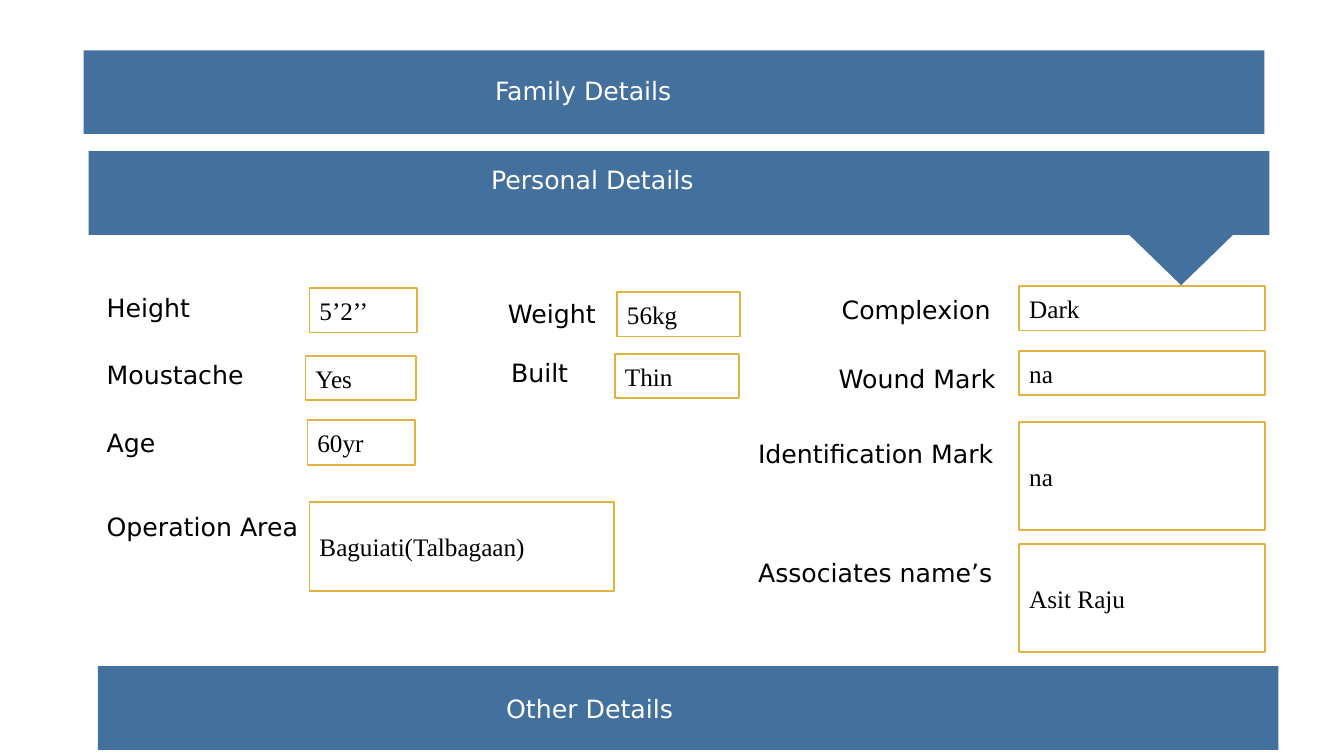
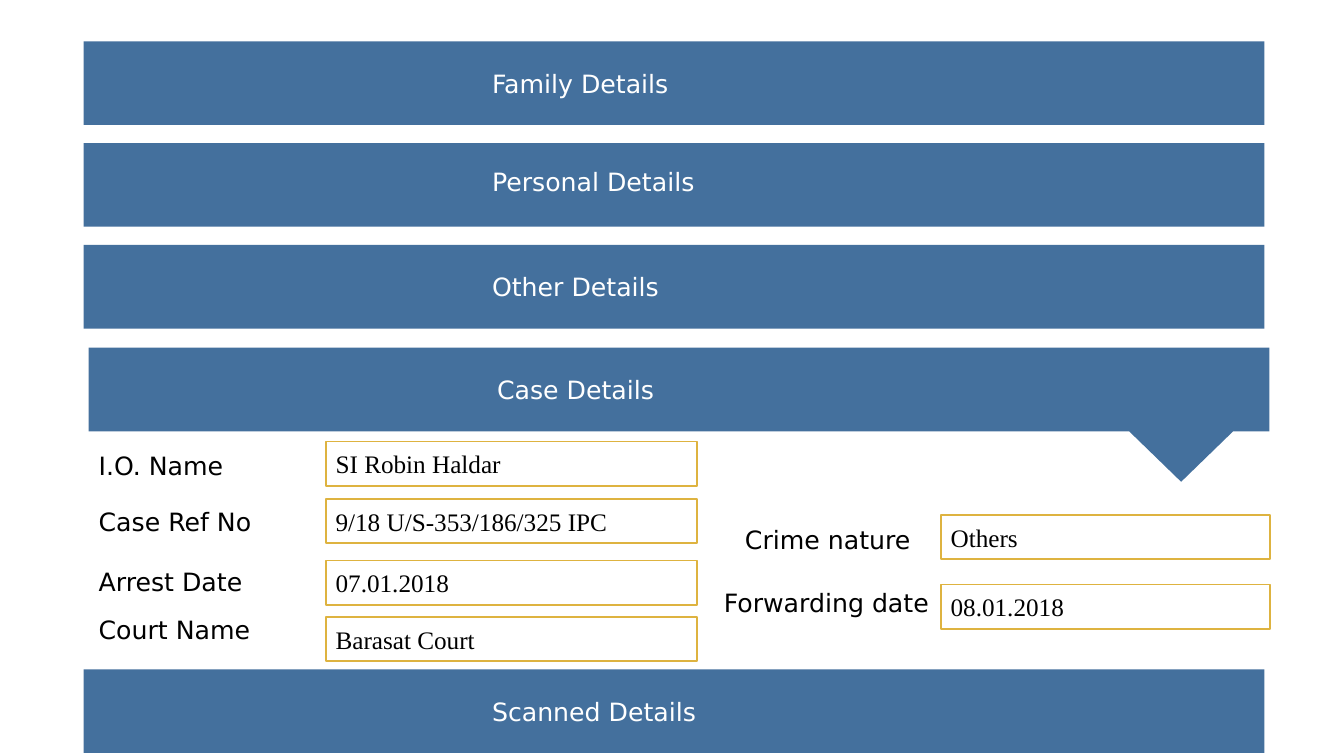
from pptx import Presentation
from pptx.dml.color import RGBColor
from pptx.enum.shapes import MSO_SHAPE
from pptx.enum.text import MSO_ANCHOR, MSO_AUTO_SIZE, PP_ALIGN
from pptx.util import Inches, Pt


def color(value):
    return RGBColor.from_string(value)


class RecordForm:
    """Holds the shared style and the current slide."""

    BLUE, GOLD, WHITE, BLACK = "44709D", "DEB340", "FFFFFF", "000000"
    LABEL_FONT, VALUE_FONT = "DejaVu Sans", "Times New Roman"
    TEXT_SIZE = 18
    BAND_LEFT, BAND_WIDTH, BAND_HEIGHT = 0.83, 11.71, 0.83
    POINTER_LEFT, POINTER_WIDTH, POINTER_HEIGHT = 10.32, 1.03, 0.5
    HEADING_INDENT = 4.05
    LABEL_HEIGHT, BOX_HEIGHT = 0.4, 0.44

    def __init__(self):
        self.presentation = Presentation()
        self.presentation.slide_width = Inches(13.33)
        self.presentation.slide_height = Inches(7.5)
        self.slide = None

    def new_slide(self):
        layout = self.presentation.slide_layouts[6]
        self.slide = self.presentation.slides.add_slide(layout)

    def set_text(self, shape, text, font_name, font_color):
        text_frame = shape.text_frame
        text_frame.text = text
        text_frame.word_wrap = True
        paragraph = text_frame.paragraphs[0]
        paragraph.alignment = PP_ALIGN.LEFT
        font = paragraph.runs[0].font
        font.name = font_name
        font.size = Pt(self.TEXT_SIZE)
        font.color.rgb = color(font_color)

    def paint(self, shape, fill, line=None):
        shape.shadow.inherit = False
        shape.fill.solid()
        shape.fill.fore_color.rgb = color(fill)
        if line:
            shape.line.color.rgb = color(line)
            shape.line.width = Pt(1.25)
        else:
            shape.line.fill.background()

    def rectangle(self, left, top, width, height):
        return self.slide.shapes.add_shape(
            MSO_SHAPE.RECTANGLE,
            Inches(left), Inches(top), Inches(width), Inches(height))

    def pointed_outline(self, left, top):
        """Band outline with a triangle below its right end."""
        right, bottom = left + self.BAND_WIDTH, top + self.BAND_HEIGHT
        start = left + self.POINTER_LEFT
        points = [
            (right, top), (right, bottom),
            (start + self.POINTER_WIDTH, bottom),
            (start + self.POINTER_WIDTH / 2, bottom + self.POINTER_HEIGHT),
            (start, bottom), (left, bottom),
        ]
        builder = self.slide.shapes.build_freeform(Inches(left), Inches(top))
        builder.add_line_segments([(Inches(x), Inches(y)) for x, y in points])
        return builder.convert_to_shape()

    def band(self, heading, top, left=BAND_LEFT, pointed=False,
             shift=0, lift=0):
        """Section band; shift and lift move its heading right and up."""
        if pointed:
            shape = self.pointed_outline(left, top)
        else:
            shape = self.rectangle(left, top, self.BAND_WIDTH, self.BAND_HEIGHT)
        self.paint(shape, self.BLUE)
        self.set_text(shape, heading, self.LABEL_FONT, self.WHITE)
        text_frame = shape.text_frame
        text_frame.vertical_anchor = MSO_ANCHOR.MIDDLE
        text_frame.margin_left = Inches(self.HEADING_INDENT + shift)
        text_frame.margin_top = Inches(0)
        pointer_space = self.POINTER_HEIGHT if pointed else 0
        text_frame.margin_bottom = Inches(pointer_space + 2 * lift)

    def label(self, text, left, top, width):
        shape = self.slide.shapes.add_textbox(
            Inches(left), Inches(top), Inches(width), Inches(self.LABEL_HEIGHT))
        self.set_text(shape, text, self.LABEL_FONT, self.BLACK)
        shape.text_frame.auto_size = MSO_AUTO_SIZE.SHAPE_TO_FIT_TEXT

    def value_box(self, text, left, top, width, height=BOX_HEIGHT):
        shape = self.rectangle(left, top, width, height)
        self.paint(shape, self.WHITE, self.GOLD)
        self.set_text(shape, text, self.VALUE_FONT, self.BLACK)
        shape.text_frame.vertical_anchor = MSO_ANCHOR.MIDDLE

    def fields(self, rows):
        """Each row: label, its left, top, width; value, its box."""
        for label, label_place, value, box_place in rows:
            self.label(label, *label_place)
            self.value_box(value, *box_place)


def add_personal_details(form):
    form.new_slide()
    form.band("Family Details", 0.5, shift=0.03, lift=0.02)
    form.band("Personal Details", 1.5, left=0.88, pointed=True,
              shift=-0.06, lift=0.13)

    # Left column
    form.fields([
        ("Height", (0.96, 2.85, 1.12), "5’2’’", (3.07, 2.86, 1.07)),
        ("Moustache", (0.96, 3.52, 1.61), "Yes", (3.03, 3.53, 1.1)),
        ("Age", (0.96, 4.19, 0.79), "60yr", (3.05, 4.17, 1.07)),
        ("Operation Area", (0.96, 5.02, 2.26),
         "Baguiati(Talbagaan)", (3.07, 4.98, 3.02, 0.88)),
    ])
    # Middle column
    form.fields([
        ("Weight", (4.94, 2.91, 1.17), "56kg", (6.12, 2.9, 1.22)),
        ("Built", (4.97, 3.5, 1.12), "Thin", (6.1, 3.51, 1.23)),
    ])
    # Right column
    box_left, box_width, tall = 10.11, 2.44, 1.07
    form.fields([
        ("Complexion", (8.25, 2.87, 1.71),
         "Dark", (box_left, 2.84, box_width)),
        ("Wound Mark", (8.22, 3.56, 1.85),
         "na", (box_left, 3.48, box_width)),
        ("Identification Mark", (7.42, 4.3, 2.65),
         "na", (box_left, 4.19, box_width, tall)),
        ("Associates name’s", (7.42, 5.48, 2.65),
         "Asit Raju", (box_left, 5.4, box_width, tall)),
    ])
    form.band("Other Details", 6.61, left=0.97)


def add_case_details(form):
    form.new_slide()
    form.band("Family Details", 0.41)
    form.band("Personal Details", 1.42, lift=0.04)
    form.band("Other Details", 2.43)
    form.band("Case Details", 3.45, left=0.88, pointed=True)

    # Left column
    left_rows = [
        ("I.O. Name", 4.42, "SI Robin Haldar", 4.38),
        ("Case Ref No", 4.97, "9/18 U/S-353/186/325 IPC", 4.95),
        ("Arrest Date", 5.57, "07.01.2018", 5.56),
        ("Court Name", 6.05, "Barasat Court", 6.12),
    ]
    form.fields([
        (label, (0.88, label_top, 1.81), value, (3.23, box_top, 3.68))
        for label, label_top, value, box_top in left_rows
    ])
    # Right column
    form.fields([
        ("Crime nature", (7.29, 5.15, 2.17), "Others", (9.33, 5.11, 3.27)),
        ("Forwarding date", (7.08, 5.78, 2.38),
         "08.01.2018", (9.33, 5.8, 3.27)),
    ])
    form.band("Scanned Details", 6.64)


def main():
    form = RecordForm()
    add_personal_details(form)
    add_case_details(form)
    form.presentation.save("out.pptx")


if __name__ == "__main__":
    main()
